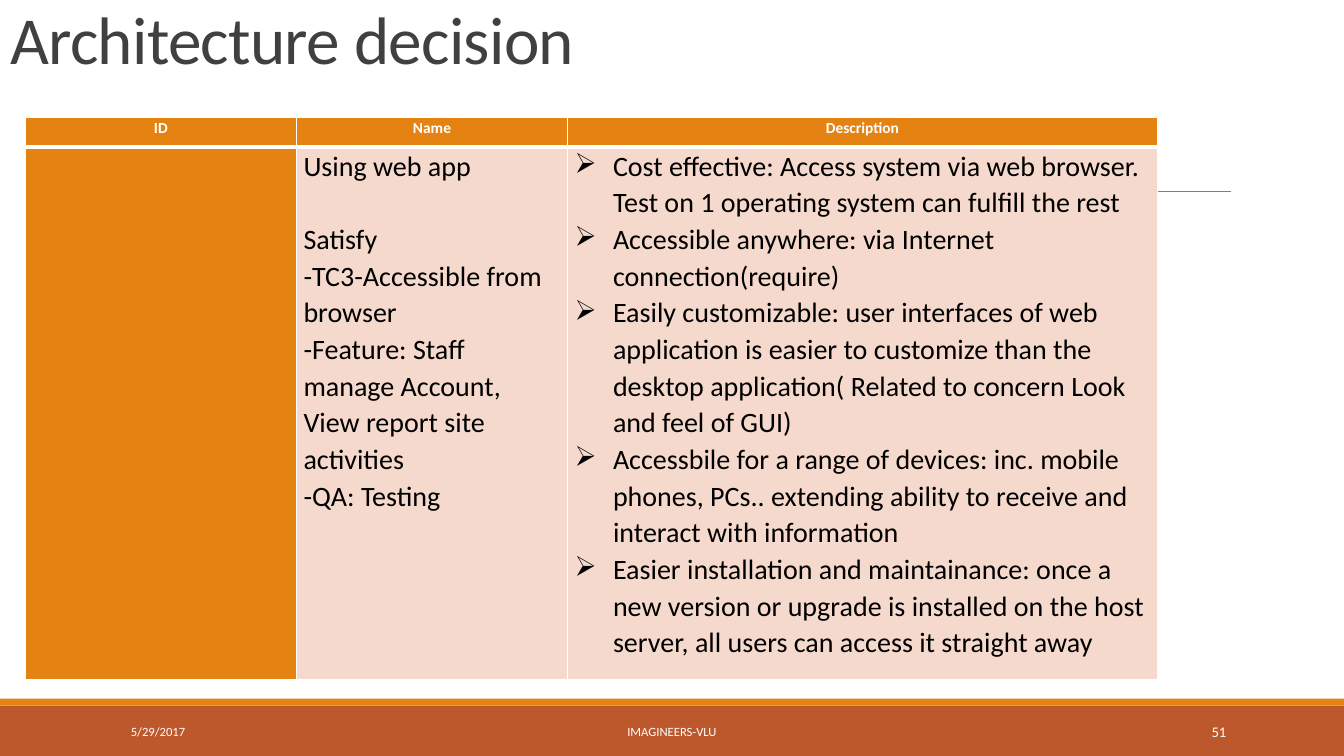
from lxml import etree
from pptx import Presentation
from pptx import util as u
from pptx.dml.color import RGBColor
from pptx.enum import shapes, text
from pptx.oxml.ns import qn

WIDE, HIGH = 13.33, 7.5
FONT = "Calibri"
HUES = {
    "rust": "BD582C", "orange": "E48312", "blush": "F5D9CC",
    "gray": "808080", "ink": "404040", "white": "FFFFFF", "black": "000000",
}
LEFT, MID, RIGHT = text.PP_ALIGN.LEFT, text.PP_ALIGN.CENTER, text.PP_ALIGN.RIGHT

HEADS = ["ID", "Name", "Description"]
NAMES = [
    "Using web app",
    "Satisfy",
    "-TC3-Accessible from browser",
    "-Feature: Staff manage Account, View report site activities",
    "-QA: Testing",
]
POINTS = [
    "Cost effective: Access system via web browser. Test on 1 operating system can fulfill the rest",
    "Accessible anywhere: via Internet connection(require)",
    "Easily customizable: user interfaces of web application is easier to customize "
    "than the desktop application( Related to concern Look and feel of GUI)",
    "Accessbile for a range of devices: inc. mobile phones, PCs.. extending ability "
    "to receive and interact with information",
    "Easier installation and maintainance: once a new version or upgrade is installed "
    "on the host server, all users can access it straight away",
]
# Left, width, size, alignment and text; lengths in percent of the slide
FOOTS = [
    (9, 20.25, 9, LEFT, "5/29/2017"),
    (30.23, 39.53, 9, MID, "IMAGINEERS-VLU"),
    (81.25, 10.73, 10.5, RIGHT, "51"),
]
COLS = [20.18, 20.18, 43.87]
ROWS = [4, 70.4]


def across(share):
    return u.Inches(WIDE * share / 100)


def down(share):
    return u.Inches(HIGH * share / 100)


def place(x, y, w, h):
    return across(x), down(y), across(w), down(h)


def color(name):
    return RGBColor.from_string(HUES[name])


def add_run(para, words, size, hue, bold=False):
    run = para.add_run()
    run.text = words
    font = run.font
    font.name, font.size, font.bold = FONT, u.Pt(size), bold
    font.color.rgb = color(hue)
    return run


def add_band(slide, y, h, hue):
    band = slide.shapes.add_shape(
        shapes.MSO_SHAPE.RECTANGLE, *place(0, y, 100, h))
    band.shadow.inherit = False
    band.fill.solid()
    band.fill.fore_color.rgb = color(hue)
    band.line.fill.background()


def add_rule(slide, x1, x2, y):
    rule = slide.shapes.add_connector(
        shapes.MSO_CONNECTOR.STRAIGHT, across(x1), down(y), across(x2), down(y))
    rule.line.color.rgb = color("gray")
    rule.line.width = u.Pt(0.5)
    etree.SubElement(rule._element.spPr, qn("a:effectLst"))


def set_title(slide, words):
    title = slide.shapes.title
    title.left, title.top, title.width, title.height = place(0, -0.8, 93.17, 11.87)
    frame = title.text_frame
    frame.auto_size = text.MSO_AUTO_SIZE.NONE
    frame.vertical_anchor = text.MSO_ANCHOR.BOTTOM
    para = frame.paragraphs[0]
    para.alignment, para.line_spacing = LEFT, 0.85
    run = add_run(para, words, 48, "ink")
    run.font._element.set("spc", "-50")


def add_foot(slide, x, w, size, align, words):
    frame = slide.shapes.add_textbox(*place(x, 94.13, w, 5.33)).text_frame
    frame.word_wrap = True
    frame.vertical_anchor = text.MSO_ANCHOR.MIDDLE
    para = frame.paragraphs[0]
    para.alignment = align
    add_run(para, words, size, "white")


def style_cell(cell, hue, edges):
    cell.margin_left = cell.margin_right = u.Inches(0.07)
    cell.margin_top = cell.margin_bottom = 0
    props = cell._tc.get_or_add_tcPr()
    for side, width in edges.items():
        line = etree.SubElement(props, qn("a:ln" + side), w=str(u.Pt(width)))
        fill = etree.SubElement(line, qn("a:solidFill"))
        etree.SubElement(fill, qn("a:srgbClr"), val=HUES["white"])
    cell.fill.solid()
    cell.fill.fore_color.rgb = color(hue)


def add_bullet(para):
    props = para._p.get_or_add_pPr()
    indent = u.Inches(0.38)
    props.set("marL", str(indent))
    props.set("indent", str(-indent))
    etree.SubElement(props, qn("a:buChar"), char="➢")


def fill_cell(cell, lines, size, hue, align=LEFT, bold=False, bullet=False):
    frame = cell.text_frame
    for i, words in enumerate(lines):
        para = frame.add_paragraph() if i else frame.paragraphs[0]
        para.alignment, para.line_spacing = align, 1.07
        if bullet:
            add_bullet(para)
        add_run(para, words, size, hue, bold)


def add_grid(slide):
    grid = slide.shapes.add_table(
        len(ROWS), len(COLS), *place(1.88, 15.47, sum(COLS), sum(ROWS))).table
    for col, share in zip(grid.columns, COLS):
        col.width = across(share)
    for row, share in zip(grid.rows, ROWS):
        row.height = down(share)

    # Header row, with a thick line below it
    for i, head in enumerate(HEADS):
        cell = grid.cell(0, i)
        style_cell(cell, "orange", {"L": 1, "R": 1, "T": 1, "B": 3})
        fill_cell(cell, [head], 11, "white", MID, bold=True)

    # Body row
    for i, hue in enumerate(["orange", "blush", "blush"]):
        style_cell(grid.cell(1, i), hue, {"L": 1, "R": 1, "T": 3, "B": 1})
    names = grid.cell(1, 1)
    fill_cell(names, NAMES, 20, "black")
    names.text_frame.paragraphs[1].space_before = u.Pt(26)
    fill_cell(grid.cell(1, 2), POINTS, 20, "black", bullet=True)


def main():
    deck = Presentation()
    deck.slide_width, deck.slide_height = u.Inches(WIDE), u.Inches(HIGH)
    slide = deck.slides.add_slide(deck.slide_layouts[5])

    # Frame of the slide
    add_band(slide, 93.33, 6.67, "rust")
    add_band(slide, 92.4, 0.93, "orange")
    add_rule(slide, 9.83, 91.6, 25.33)

    # Content
    set_title(slide, "Architecture decision")
    for foot in FOOTS:
        add_foot(slide, *foot)
    add_grid(slide)
    deck.save("out.pptx")


if __name__ == "__main__":
    main()
